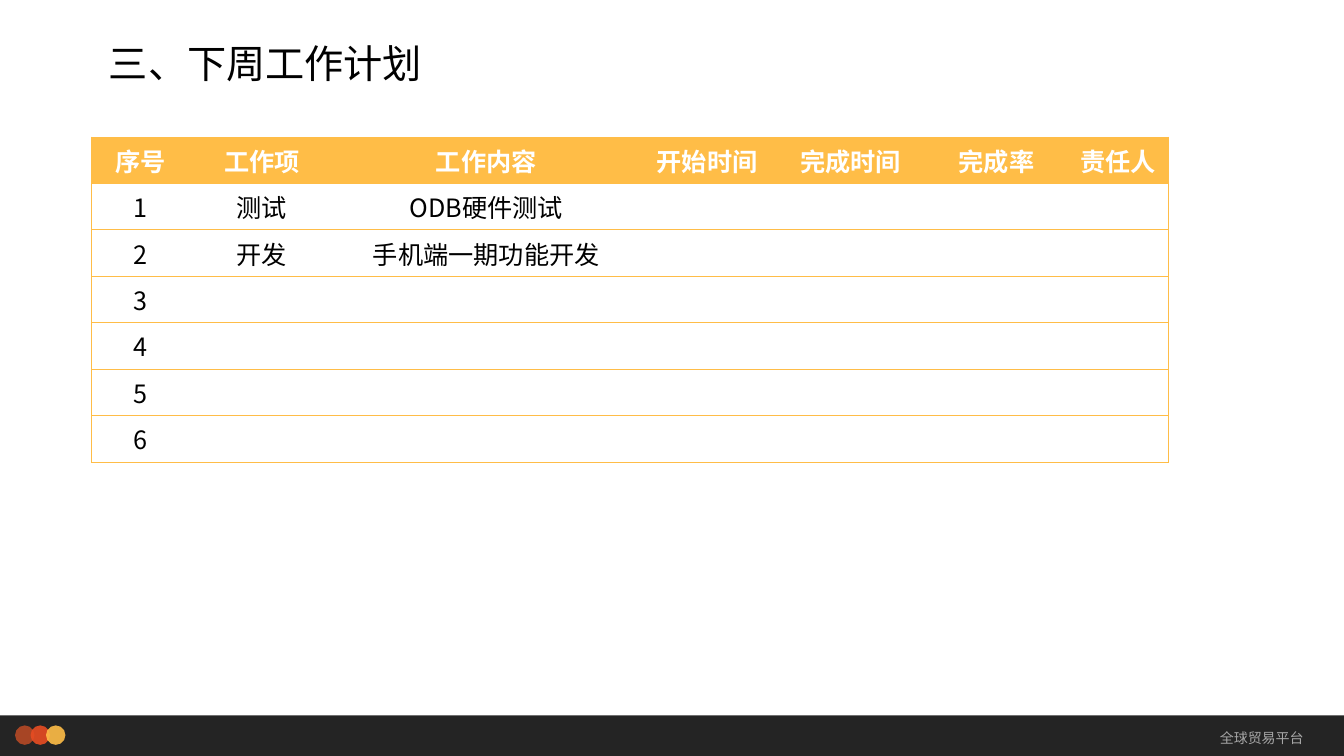
from lxml import etree
from pptx import Presentation
from pptx import util as u
from pptx.dml.color import RGBColor
from pptx.enum import shapes, text
from pptx.oxml.ns import qn

HUES = {"bar": "0D0D0D", "rust": "B64926", "red": "E84C22", "gold": "FFBD47",
        "grey": "A6A6A6", "black": "000000", "white": "FFFFFF"}
FONT = "Noto Sans CJK SC"
HEAD = ["序号", "工作项", "工作内容", "开始时间", "完成时间", "完成率", "责任人"]
PLANS = [("测试", "ODB硬件测试"), ("开发", "手机端一期功能开发")]
COLS = [2.46, 3.66, 7.65, 3.48, 3.76, 3.58, 2.54]
COUNT = 6
ROW = 1.17


class Deck:
    def __init__(self):
        self.prs = Presentation()
        self.prs.slide_width = u.Cm(33.87)
        self.prs.slide_height = u.Cm(19.05)
        self.slide = self.prs.slides.add_slide(self.prs.slide_layouts[5])

    def style(self, frame, size, hue, align, bold=False):
        for para in frame.paragraphs:
            para.alignment = align
            for run in para.runs:
                font = run.font
                font.size, font.bold, font.name = u.Pt(size), bold, FONT
                font.color.rgb = RGBColor.from_string(HUES[hue])
                east = etree.Element(qn("a:ea"), typeface=FONT)
                font._element.find(qn("a:latin")).addnext(east)

    def title(self, words, x, y, w, h):
        box = self.slide.shapes.title
        box.left, box.top, box.width, box.height = map(u.Cm, (x, y, w, h))
        frame = box.text_frame
        frame.text = words
        frame.vertical_anchor = text.MSO_ANCHOR.BOTTOM
        frame.auto_size = text.MSO_AUTO_SIZE.NONE
        frame.paragraphs[0].line_spacing = 0.9
        self.style(frame, 28, "black", text.PP_ALIGN.LEFT)

    def shape(self, kind, hue, x, y, w, h):
        """Add a borderless shape at 90 % opacity."""
        item = self.slide.shapes.add_shape(kind, *map(u.Cm, (x, y, w, h)))
        item.shadow.inherit = False
        item.line.fill.background()
        item.fill.solid()
        item.fill.fore_color.rgb = RGBColor.from_string(HUES[hue])
        tint = item._element.spPr.find(qn("a:solidFill"))[0]
        etree.SubElement(tint, qn("a:alpha"), val="90000")

    def label(self, words, x, y, w, h):
        box = self.slide.shapes.add_textbox(*map(u.Cm, (x, y, w, h)))
        frame = box.text_frame
        frame.word_wrap = True
        frame.text = words
        frame.vertical_anchor = text.MSO_ANCHOR.MIDDLE
        self.style(frame, 10, "grey", text.PP_ALIGN.RIGHT)

    def edges(self, cell, drawn):
        """Draw gold lines on the named sides and clear the others."""
        props = cell._tc.get_or_add_tcPr()
        for place, side in enumerate("LRTB"):
            line = etree.Element(qn(f"a:ln{side}"), w=str(u.Pt(0.5)))
            if side in drawn:
                fill = etree.SubElement(line, qn("a:solidFill"))
                etree.SubElement(fill, qn("a:srgbClr"), val=HUES["gold"])
            else:
                etree.SubElement(line, qn("a:noFill"))
            props.insert(place, line)

    def table(self, rows, x, y):
        size = (sum(COLS), ROW * len(rows))
        grid = self.slide.shapes.add_table(
            len(rows), len(COLS), *map(u.Cm, (x, y, *size))).table
        grid.horz_banding = False
        for col, width in zip(grid.columns, COLS):
            col.width = u.Cm(width)
        for r, words in enumerate(rows):
            grid.rows[r].height = u.Cm(ROW)
            for c, word in enumerate(words):
                cell = grid.cell(r, c)
                if word:
                    cell.text = word
                if r == 0:
                    cell.fill.solid()
                    cell.fill.fore_color.rgb = RGBColor.from_string(HUES["gold"])
                else:
                    cell.fill.background()
                self.style(cell.text_frame, 18, "black" if r else "white",
                           text.PP_ALIGN.CENTER, r == 0)
                ends = {0: "L", len(COLS) - 1: "R"}
                self.edges(cell, "TB" + ends.get(c, ""))


def main():
    deck = Deck()
    kinds = shapes.MSO_SHAPE
    deck.shape(kinds.RECTANGLE, "bar", 0, 18.03, 33.87, 1.02)
    for i, hue in enumerate(("rust", "red", "gold")):
        deck.shape(kinds.OVAL, hue, 0.38 + 0.39 * i, 18.28, 0.49, 0.49)
    deck.label("全球贸易平台", 27.36, 18.03, 5.74, 1.12)
    deck.title("三、下周工作计划", 2.49, 0.38, 25.4, 1.93)
    rows = [HEAD]
    for i in range(COUNT):
        plan = PLANS[i] if i < len(PLANS) else ("", "")
        rows.append([str(i + 1), *plan, "", "", "", ""])
    deck.table(rows, 2.31, 3.45)
    deck.prs.save("out.pptx")


if __name__ == "__main__":
    main()
